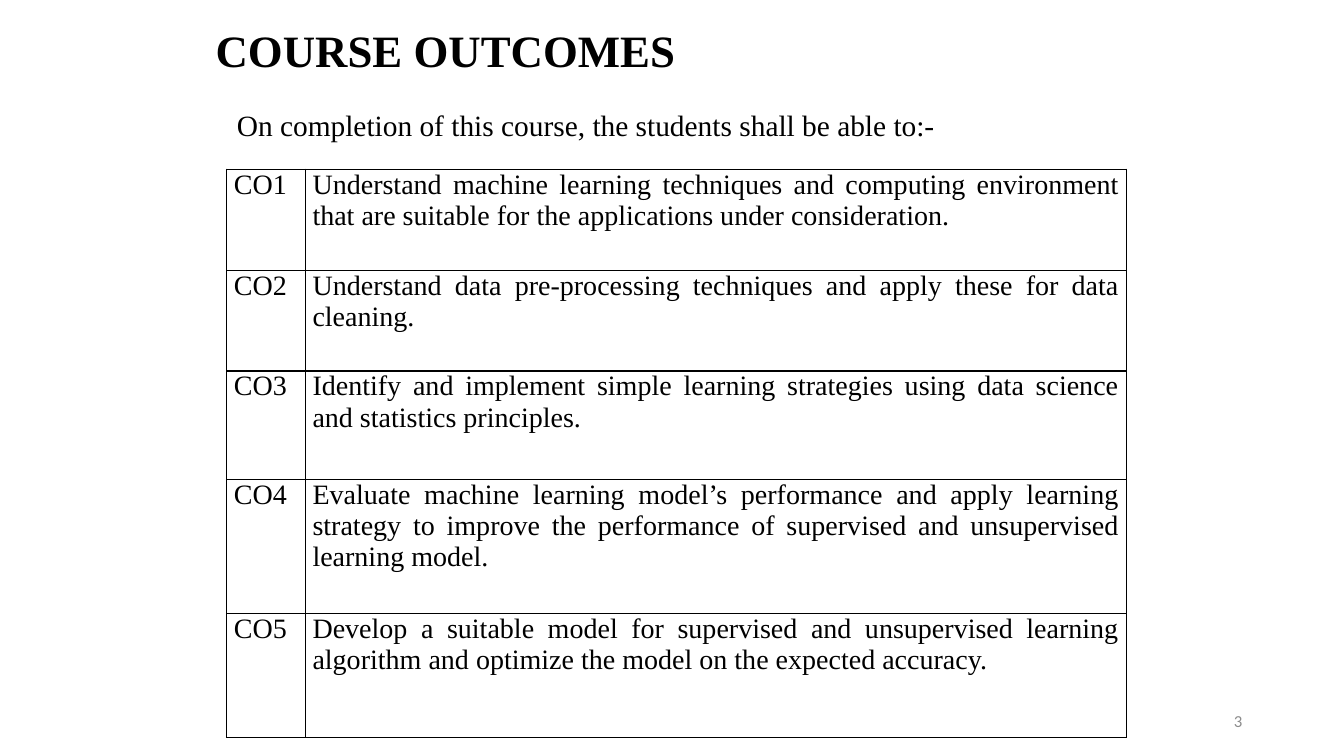
from lxml import etree
from pptx import Presentation
from pptx.dml.color import RGBColor
from pptx.enum.text import MSO_ANCHOR, PP_ALIGN
from pptx.oxml.ns import qn
from pptx.util import Inches, Pt

BLACK = RGBColor(0x00, 0x00, 0x00)
GRAY = RGBColor(0x8C, 0x8C, 0x8C)
SERIF = "Times New Roman"
SANS = "Calibri"
LEFT, RIGHT, JUSTIFY = PP_ALIGN.LEFT, PP_ALIGN.RIGHT, PP_ALIGN.JUSTIFY
TOP, MIDDLE, BOTTOM = MSO_ANCHOR.TOP, MSO_ANCHOR.MIDDLE, MSO_ANCHOR.BOTTOM

COLUMN_WIDTHS = [0.78, 8.14]
ROW_HEIGHTS = [1, 1, 1.08, 1.33, 1.23]
OUTCOMES = [
    "Understand machine learning techniques and computing environment "
    "that are suitable for the applications under consideration.",
    "Understand data pre-processing techniques and apply these for data cleaning.",
    "Identify and implement simple learning strategies using data science "
    "and statistics principles.",
    "Evaluate machine learning model’s performance and apply learning strategy "
    "to improve the performance of supervised and unsupervised learning model.",
    "Develop a suitable model for supervised and unsupervised learning algorithm "
    "and optimize the model on the expected accuracy.",
]


def write_text(frame, text, size=20, font=SERIF, color=BLACK, bold=False,
               align=LEFT, spacing=None):
    paragraph = frame.paragraphs[0]
    paragraph.alignment = align
    paragraph.line_spacing = spacing
    run = paragraph.add_run()
    run.text = text
    run.font.size = Pt(size)
    run.font.name = font
    run.font.bold = bold
    run.font.color.rgb = color


def add_label(slide, box, text, anchor=TOP, wrap=True, **text_format):
    shape = slide.shapes.add_textbox(*map(Inches, box))
    frame = shape.text_frame
    frame.word_wrap = wrap
    frame.vertical_anchor = anchor
    write_text(frame, text, **text_format)


def add_borders(cell, color=BLACK, width=1):
    properties = cell._tc.get_or_add_tcPr()
    for position, side in enumerate(("a:lnL", "a:lnR", "a:lnT", "a:lnB")):
        line = etree.Element(qn(side), w=str(Pt(width)))
        fill = etree.SubElement(line, qn("a:solidFill"))
        etree.SubElement(fill, qn("a:srgbClr"), val=str(color))
        properties.insert(position, line)


def format_cell(cell, text, align):
    cell.margin_left = cell.margin_right = Inches(0.07)
    cell.margin_top = cell.margin_bottom = 0
    cell.vertical_anchor = TOP
    cell.fill.background()
    write_text(cell.text_frame, text, align=align)
    add_borders(cell)


def add_outcome_table(slide, box):
    table = slide.shapes.add_table(
        len(OUTCOMES), len(COLUMN_WIDTHS), *map(Inches, box)).table
    table.first_row = False
    table.horz_banding = False
    for column, width in zip(table.columns, COLUMN_WIDTHS):
        column.width = Inches(width)
    for index, (outcome, height) in enumerate(zip(OUTCOMES, ROW_HEIGHTS)):
        table.rows[index].height = Inches(height)
        format_cell(table.cell(index, 0), f"CO{index + 1}", LEFT)
        format_cell(table.cell(index, 1), outcome, JUSTIFY)


def add_outcomes_slide(presentation):
    slide = presentation.slides.add_slide(presentation.slide_layouts[6])
    add_label(slide, (2.04, 0.22, 9.13, 0.59), "COURSE OUTCOMES",
              anchor=BOTTOM, size=32, bold=True, spacing=0.9)
    add_label(slide, (9.42, 6.95, 3, 0.4), "3", anchor=MIDDLE,
              size=12, font=SANS, color=GRAY, align=RIGHT)
    add_label(slide, (2.25, 1.01, 7.21, 0.45),
              "On completion of this course, the students shall be able to:-",
              wrap=False, size=21)
    add_outcome_table(
        slide, (2.25, 1.68, sum(COLUMN_WIDTHS), sum(ROW_HEIGHTS)))


def main():
    presentation = Presentation()
    presentation.slide_width = Inches(13.33)
    presentation.slide_height = Inches(7.5)
    add_outcomes_slide(presentation)
    presentation.save("out.pptx")


if __name__ == "__main__":
    main()
